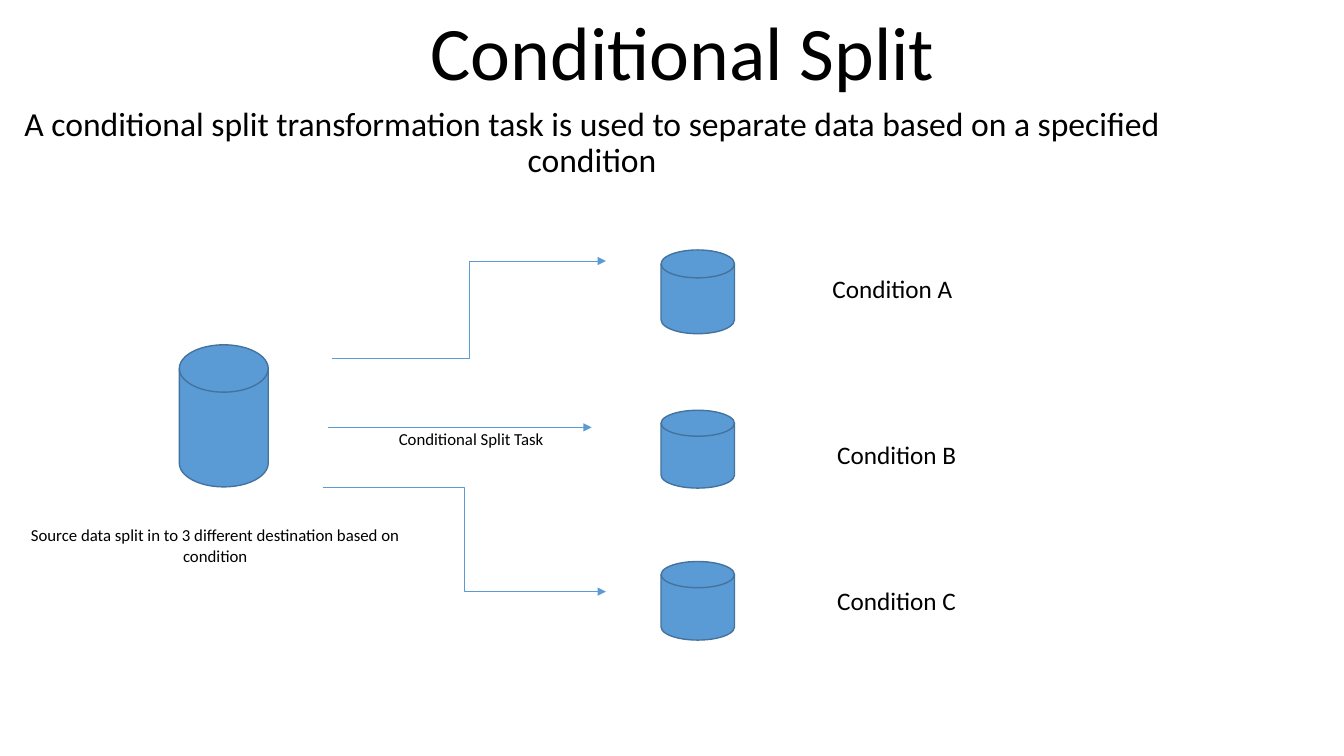
from dataclasses import dataclass

from lxml import etree
from pptx import Presentation
from pptx.dml.color import RGBColor
from pptx.enum.shapes import MSO_CONNECTOR, MSO_SHAPE
from pptx.enum.text import MSO_ANCHOR, MSO_AUTO_SIZE, PP_ALIGN
from pptx.oxml.ns import qn
from pptx.util import Cm, Pt

DISK = MSO_SHAPE.FLOWCHART_MAGNETIC_DISK
STRAIGHT, ELBOW = MSO_CONNECTOR.STRAIGHT, MSO_CONNECTOR.ELBOW
LEFT, CENTER = PP_ALIGN.LEFT, PP_ALIGN.CENTER
TOP, BOTTOM = MSO_ANCHOR.TOP, MSO_ANCHOR.BOTTOM
NO_FIT, GROW = MSO_AUTO_SIZE.NONE, MSO_AUTO_SIZE.SHAPE_TO_FIT_TEXT


@dataclass(frozen=True)
class Theme:
    font: str = "Calibri"
    text: RGBColor = RGBColor(0x00, 0x00, 0x00)
    blue: RGBColor = RGBColor(0x5B, 0x9B, 0xD5)
    outline: RGBColor = RGBColor(0x43, 0x73, 0x9E)
    title_size: Pt = Pt(54)
    subtitle_size: Pt = Pt(24)
    condition_size: Pt = Pt(18)
    caption_size: Pt = Pt(12)
    outline_width: Pt = Pt(1)
    arrow_width: Pt = Pt(0.5)


THEME = Theme()


def write(frame, text, size, align):
    """Fill a text frame with one paragraph and return that paragraph."""
    frame.word_wrap = True
    paragraph = frame.paragraphs[0]
    paragraph.text = text
    paragraph.alignment = align
    font = paragraph.runs[0].font
    font.name, font.size = THEME.font, size
    font.color.rgb = THEME.text
    return paragraph


def fill_placeholder(placeholder, box, text, size, anchor, space_before):
    placeholder.left, placeholder.top, placeholder.width, placeholder.height = map(Cm, box)
    frame = placeholder.text_frame
    paragraph = write(frame, text, size, CENTER)
    paragraph.line_spacing = 0.9
    paragraph.space_before = space_before
    frame.vertical_anchor = anchor
    frame.auto_size = NO_FIT


def add_label(slide, box, text, size, align=LEFT):
    frame = slide.shapes.add_textbox(*map(Cm, box)).text_frame
    write(frame, text, size, align)
    frame.auto_size = GROW


def add_database(slide, box):
    disk = slide.shapes.add_shape(DISK, *map(Cm, box))
    disk.shadow.inherit = False
    disk.fill.solid()
    disk.fill.fore_color.rgb = THEME.blue
    disk.line.color.rgb = THEME.outline
    disk.line.width = THEME.outline_width


def add_arrow(slide, kind, start, end):
    arrow = slide.shapes.add_connector(kind, *map(Cm, start + end))
    arrow.line.color.rgb = THEME.blue
    arrow.line.width = THEME.arrow_width
    properties = arrow.element.spPr
    etree.SubElement(properties.find(qn("a:ln")), qn("a:tailEnd"), type="triangle")
    etree.SubElement(properties, qn("a:effectLst"))


def main():
    presentation = Presentation()
    presentation.slide_width, presentation.slide_height = Cm(33.87), Cm(19.05)
    slide = presentation.slides.add_slide(presentation.slide_layouts[0])
    title, subtitle = slide.placeholders

    fill_placeholder(title, (4.5, 0.28, 25.4, 2.29), "Conditional Split",
                     THEME.title_size, BOTTOM, Pt(0))
    fill_placeholder(subtitle, (0.2, 2.57, 29.44, 15.85),
                     "A conditional split transformation task is used to separate "
                     "data based on a specified condition",
                     THEME.subtitle_size, TOP, Pt(10))

    add_database(slide, (4.52, 8.69, 2.24, 3.58))
    destinations = [
        ("Condition A", 6.3, 2.11, (20.73, 6.76)),
        ("Condition B", 10.34, 1.96, (20.85, 10.95)),
        ("Condition C", 14.15, 1.98, (20.85, 14.63)),
    ]
    for condition, disk_top, disk_height, label_corner in destinations:
        add_database(slide, (16.66, disk_top, 1.85, disk_height))
        add_label(slide, label_corner + (4.29, 1.02), condition, THEME.condition_size)

    add_arrow(slide, ELBOW, (8.13, 12.29), (15.27, 14.91))
    add_arrow(slide, ELBOW, (8.38, 9.02), (15.27, 6.58))
    add_arrow(slide, STRAIGHT, (8.26, 10.77), (14.91, 10.77))

    add_label(slide, (0.41, 13.11, 10.03, 1.27),
              "Source data split in to 3 different destination based on condition",
              THEME.caption_size, CENTER)
    add_label(slide, (9.8, 10.67, 4.5, 0.76), "Conditional Split Task", THEME.caption_size)

    presentation.save("out.pptx")


if __name__ == "__main__":
    main()
